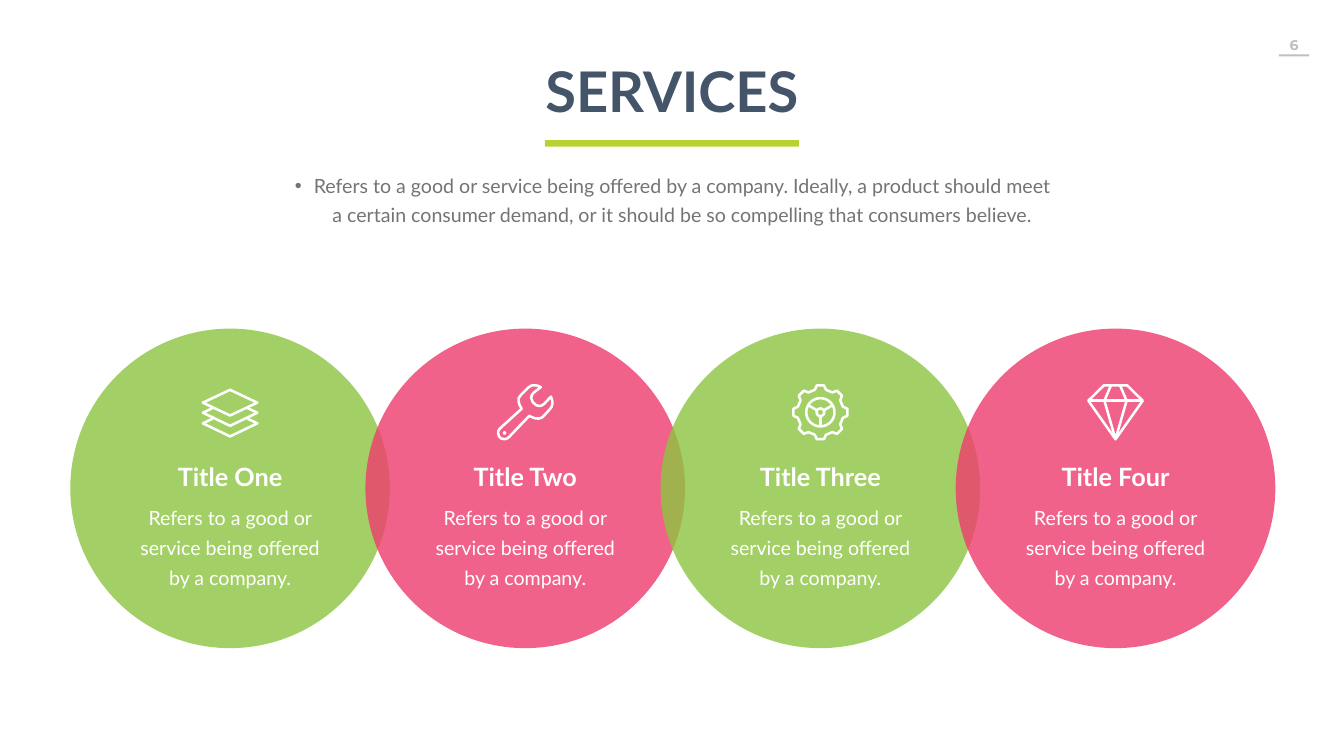
"""Build the services slide with four overlapping circles."""
from dataclasses import dataclass
from math import cos, radians, sin

from lxml.etree import SubElement
from pptx import Presentation
from pptx.dml.color import RGBColor
from pptx.enum.shapes import MSO_SHAPE
from pptx.enum.text import MSO_ANCHOR, MSO_AUTO_SIZE, PP_ALIGN
from pptx.oxml.ns import qn
from pptx.util import Inches, Pt

COLUMNS, ROWS = 100, 60
DIAMETER, PITCH, FIRST_CENTRE = 6.34, 21.96, 17.12
CIRCLE_TOP, ICON_MIDDLE, HEADING_TOP, DETAIL_TOP = 26.08, 32.72, 36.4, 39.12


@dataclass(frozen=True)
class Theme:
    """Colours, fonts and type sizes."""
    green: str = "8DC540"
    pink: str = "EE3B6D"
    lime: str = "B7D333"
    navy: str = "445469"
    grey: str = "737572"
    pale: str = "BFBFBF"
    white: str = "FFFFFF"
    font: str = "Lato"
    number_font: str = "Montserrat"
    title: int = 80
    heading: int = 36
    body: int = 28
    number: int = 20
    stroke: float = 3.6


def polar(radius, degrees, centre=(0, 0)):
    """Return the point at an angle measured clockwise from the top."""
    angle = radians(degrees)
    return centre[0] + radius * sin(angle), centre[1] - radius * cos(angle)


def ring(radius, centre=(0, 0)):
    """Return a closed stroke that runs round a circle."""
    return [polar(radius, turn, centre) for turn in range(0, 360, 6)], True


def layers_icon():
    """Return the strokes of three stacked sheets."""
    sheet = [(0, -44.5), (54, -19), (0, 6.5), (-54, -19)]
    edge = [(-35, -8), (-54, 1), (0, 27), (54, 1), (35, -8)]
    return [(sheet, True)] + [
        ([(x, y + drop) for x, y in edge], False) for drop in (0, 21)]


def wrench_icon():
    """Return the strokes of a wrench."""
    head = [(31, -50), (24, -53), (18, -53.5), (12, -53), (6, -49), (-8, -35),
            (-13, -28), (-13, -21), (-11, -14), (-7, -7)]
    handle = [(-50, 32), (-53, 36), (-54, 41), (-52, 48), (-48, 52),
              (-41, 53.5), (-36, 52), (-32, 49), (8, 7)]
    cheek = [(14, 10), (20, 12), (26, 12.5), (31, 11.5), (35, 9), (48, -5),
             (52, -10), (54, -17), (53.5, -24), (51, -31)]
    jaw = [(38, -17), (33, -13.5), (28, -12.5), (22, -14), (15, -20),
           (12, -28), (13, -34), (17, -39)]
    return [(head + handle + cheek + jaw, True), ring(1, (-41, 41))]


def gear_icon():
    """Return the strokes of a gear with eight teeth and three spokes."""
    tooth = [(46, -14), (54, -7.5), (54, 7.5), (46, 14)]
    rim = [polar(radius, turn + shift)
           for turn in range(0, 360, 45) for radius, shift in tooth]
    spokes = [([polar(7.5, turn), polar(28, turn)], False)
              for turn in (60, 180, 300)]
    return [(rim, True), ring(28), ring(7.5)] + spokes


def diamond_icon():
    """Return the strokes of a cut diamond."""
    outline = [(-23, -53.5), (23, -53.5), (54, -23), (0, 53.5), (-54, -23)]
    facets = [(-9, -53.5), (-22, -23), (0, 53.5), (22, -23), (9, -53.5)]
    return [(outline, True), ([(-54, -23), (54, -23)], False), (facets, False)]


class SlideBuilder:
    """Hold the theme and the current slide and add elements on a grid."""

    def __init__(self, deck, theme):
        self.theme = theme
        self.column = deck.slide_width / COLUMNS
        self.row = deck.slide_height / ROWS
        self.slide = deck.slides.add_slide(deck.slide_layouts[1])
        self.shapes = self.slide.shapes

    def frame(self, left, top, width, height):
        """Turn grid columns and rows into slide lengths."""
        return (round(left * self.column), round(top * self.row),
                round(width * self.column), round(height * self.row))

    def set_text(self, box, words, size, color, bold=False, font=None,
                 spacing=None, wrap=True, insets=(0.1, 0.05)):
        """Fill a box with one centred paragraph."""
        text = box.text_frame
        text.text = words
        text.word_wrap = wrap
        text.auto_size = MSO_AUTO_SIZE.NONE
        text.vertical_anchor = MSO_ANCHOR.TOP
        text.margin_left = text.margin_right = Inches(insets[0])
        text.margin_top = text.margin_bottom = Inches(insets[1])
        para = text.paragraphs[0]
        para.alignment = PP_ALIGN.CENTER
        para.space_before = Pt(0)
        if spacing:
            para.line_spacing = Pt(spacing)
        for span in para.runs:
            span.font.name = font or self.theme.font
            span.font.size = Pt(size)
            span.font.bold = bold
            span.font.color.rgb = RGBColor.from_string(color)

    def placeholder(self, index, frame, words, size, color, **style):
        """Move a template placeholder and fill it without bullets."""
        box = self.slide.placeholders[index]
        box.left, box.top, box.width, box.height = self.frame(*frame)
        properties = box.text_frame.paragraphs[0]._p.get_or_add_pPr()
        properties.set("marL", "0")
        properties.set("indent", "0")
        SubElement(properties, qn("a:buNone"))
        self.set_text(box, words, size, color, **style)

    def label(self, frame, words, size, color, **style):
        """Add a text box."""
        box = self.shapes.add_textbox(*self.frame(*frame))
        self.set_text(box, words, size, color, **style)

    def block(self, kind, frame, color, opacity=100):
        """Add a filled preset shape without an outline."""
        shape = self.shapes.add_shape(kind, *self.frame(*frame))
        shape.shadow.inherit = False
        shape.line.fill.background()
        shape.fill.solid()
        shape.fill.fore_color.rgb = RGBColor.from_string(color)
        if opacity < 100:
            tint = shape.fill._xPr.find(f".//{qn('a:srgbClr')}")
            SubElement(tint, qn("a:alpha"), val=str(opacity * 1000))

    def icon(self, centre, middle, strokes):
        """Add one white line drawing around a grid point."""
        builder = self.shapes.build_freeform(
            *(10 * value for value in strokes[0][0][0]), scale=Inches(0.001))
        for number, (points, closed) in enumerate(strokes):
            start, *rest = [(10 * x, 10 * y) for x, y in points]
            if number:
                builder.move_to(*start)
            builder.add_line_segments(rest, close=closed)
        shape = builder.convert_to_shape(
            round(centre * self.column), round(middle * self.row))
        shape.shadow.inherit = False
        shape.fill.background()
        shape.line.color.rgb = RGBColor.from_string(self.theme.white)
        shape.line.width = Pt(self.theme.stroke)

    def service(self, centre, heading, detail, strokes):
        """Add the icon, heading and detail of one service."""
        theme = self.theme
        self.label((centre - 8.2, DETAIL_TOP, 16.4, 8.12), detail, theme.body,
                   theme.white, spacing=43, insets=(0.24, 0.12))
        self.label((centre - 4.5, HEADING_TOP, 9, 2.8), heading, theme.heading,
                   theme.white, bold=True, wrap=False)
        self.icon(centre, ICON_MIDDLE, strokes)


def main():
    """Build and save the deck."""
    deck = Presentation()
    deck.slide_width, deck.slide_height = Inches(26.66), Inches(15)
    theme = Theme()
    page = SlideBuilder(deck, theme)

    page.placeholder(0, (37.47, 4.32, 25.06, 5.76), "SERVICES", theme.title,
                     theme.navy, bold=True)
    page.placeholder(1, (21.38, 13.24, 57.31, 4.92),
                     "Refers to a good or service being offered by a company. "
                     "Ideally, a product should meet a certain consumer demand, "
                     "or it should be so compelling that consumers believe.",
                     theme.body, theme.grey, spacing=40.7)
    page.block(MSO_SHAPE.RECTANGLE, (40.55, 11.12, 18.9, 0.52), theme.lime)
    page.label((92.44, 2.48, 7.69, 2.16), "6", theme.number, theme.pale,
               bold=True, font=theme.number_font, wrap=False, insets=(0.2, 0.1))
    page.block(MSO_SHAPE.RECTANGLE, (95.16, 4.32, 2.25, 0.16), theme.pale)

    services = [("Title One", layers_icon()), ("Title Two", wrench_icon()),
                ("Title Three", gear_icon()), ("Title Four", diamond_icon())]
    centres = [FIRST_CENTRE + PITCH * place for place in range(len(services))]
    width = Inches(DIAMETER) / page.column
    height = Inches(DIAMETER) / page.row
    for place, centre in enumerate(centres):
        page.block(MSO_SHAPE.OVAL, (centre - width / 2, CIRCLE_TOP, width, height),
                   (theme.green, theme.pink)[place % 2], opacity=80)
    for centre, (heading, strokes) in zip(centres, services):
        page.service(centre, heading,
                     "Refers to a good or service being offered by a company.",
                     strokes)
    deck.save("out.pptx")


if __name__ == "__main__":
    main()
